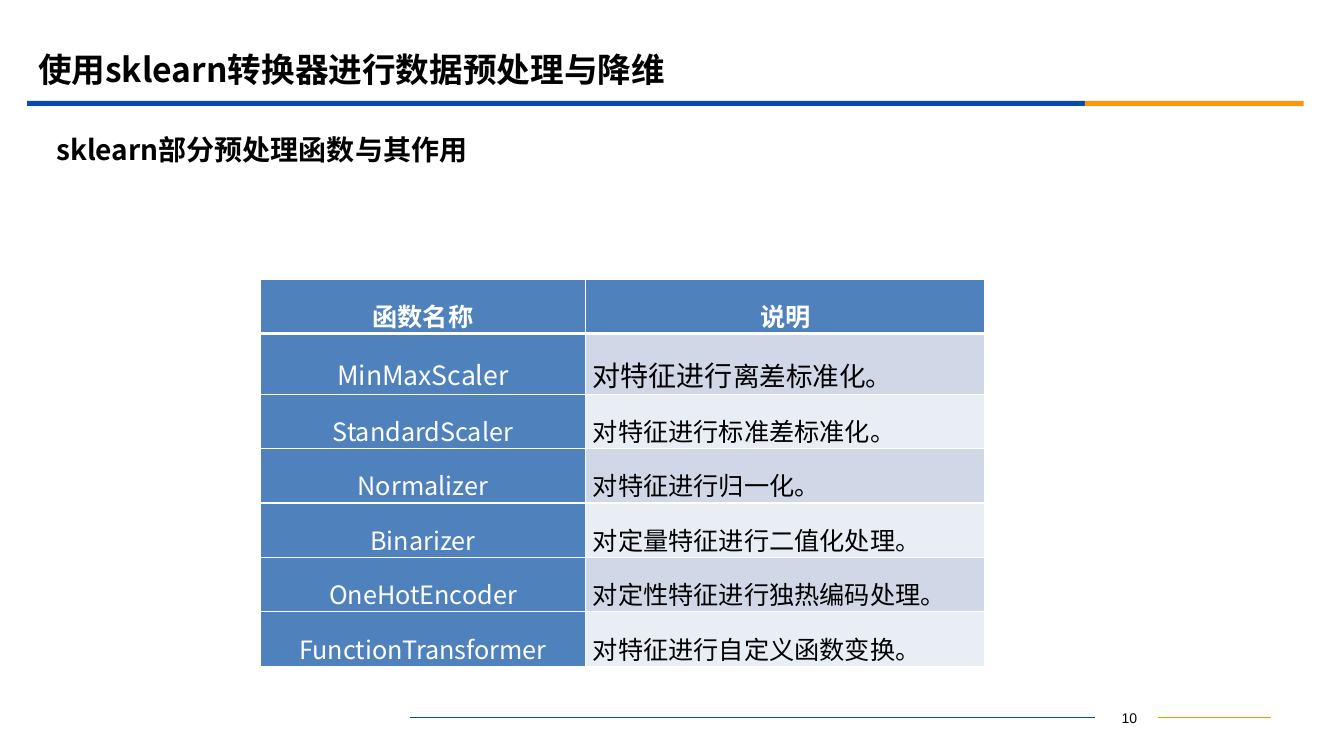
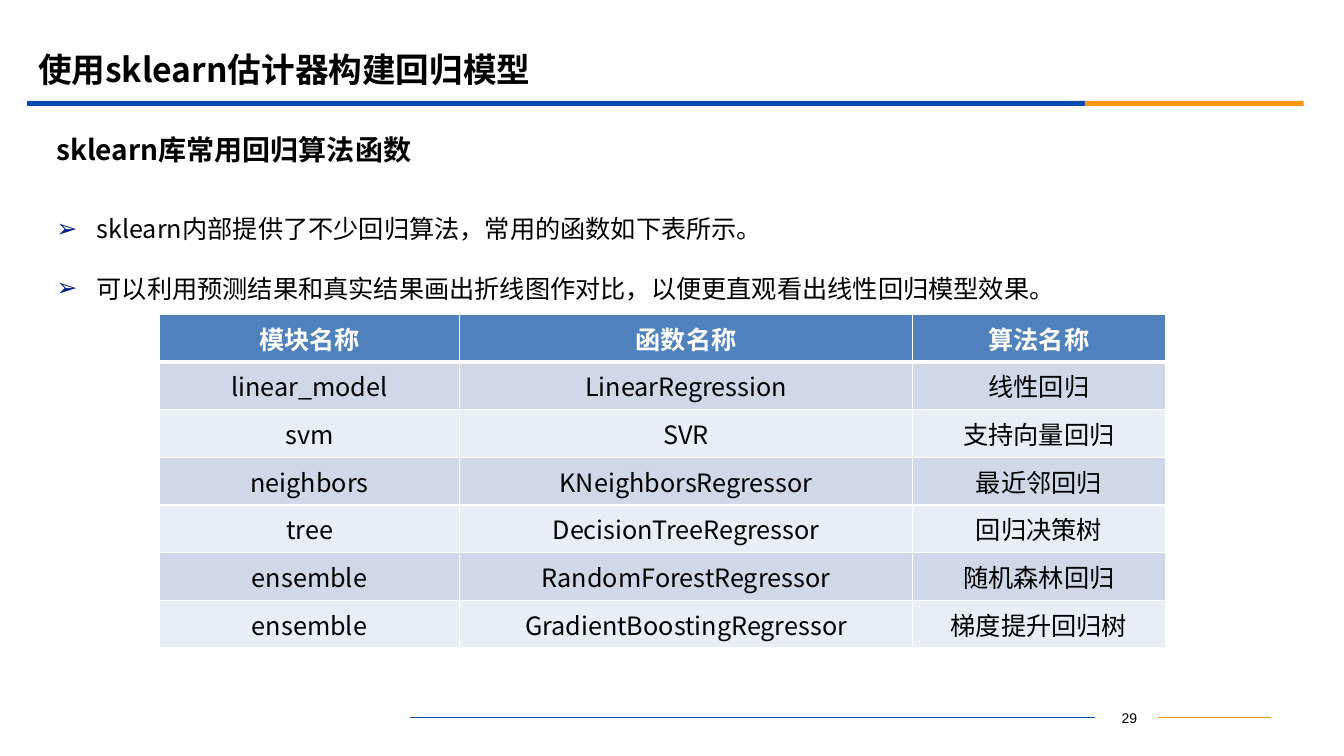
from dataclasses import dataclass
from typing import NamedTuple

from lxml.etree import SubElement
from pptx import Presentation
from pptx.dml.color import RGBColor
from pptx.enum.shapes import MSO_CONNECTOR, MSO_SHAPE
from pptx.enum.text import MSO_ANCHOR, PP_ALIGN
from pptx.oxml.ns import qn
from pptx.util import Emu, Pt

EMU_PER_PX = 9144  # 100 px to the inch
CJK_FONT = "Noto Sans CJK SC"
COLORS = {
    "black": "000000",
    "white": "FFFFFF",
    "blue": "064BB2",
    "band_orange": "FB9708",
    "line_orange": "F19500",
    "bullet": "032089",
    "header": "4F81BD",
    "odd_row": "D0D8E8",
    "even_row": "E9EDF4",
}


class Box(NamedTuple):
    left: int
    top: int
    width: int
    height: int


class Band(NamedTuple):
    box: Box
    color: str


class Rule(NamedTuple):
    start: int
    end: int
    color: str


class TextPart(NamedTuple):
    text: str
    size: int


class Column(NamedTuple):
    title: str
    width: int
    align: PP_ALIGN = PP_ALIGN.CENTER
    is_header: bool = False


@dataclass(frozen=True)
class TextStyle:
    size: int
    color: str = "black"
    bold: bool = False
    font: str = CJK_FONT


@dataclass(frozen=True)
class TableSpec:
    left: int
    top: int
    columns: list[Column]
    rows: list[tuple]  # a cell is a string or a list of TextPart
    row_heights: list[int]
    side_margin: int
    line_spacing: float = 1.0


@dataclass(frozen=True)
class SlideSpec:
    number: str
    title: str
    heading: str
    table: TableSpec
    bullets: tuple[str, ...] = ()


TITLE_BOX = Box(28, 39, 1200, 58)
HEADING_BOX = Box(46, 125, 1215, 47)
BODY_BOX = Box(46, 192, 1215, 478)
NUMBER_BOX = Box(1089, 699, 62, 25)
BANDS = [Band(Box(27, 100, 1049, 5), "blue"), Band(Box(1076, 100, 217, 5), "band_orange")]
FOOTER_Y = 712
FOOTER_RULES = [Rule(1149, 1261, "line_orange"), Rule(407, 1086, "blue")]

TITLE_STYLE = TextStyle(24, bold=True)
HEADING_STYLE = TextStyle(20, bold=True)
BODY_STYLE = TextStyle(18)
NUMBER_STYLE = TextStyle(10, font="Arial")

SLIDES = [
    SlideSpec(
        "10",
        "使用sklearn转换器进行数据预处理与降维",
        "sklearn部分预处理函数与其作用",
        TableSpec(
            258, 277,
            [Column("函数名称", 323, is_header=True),
             Column("说明", 396, PP_ALIGN.JUSTIFY)],
            [
                ([TextPart("MinMaxScaler", 19)],
                 [TextPart("对特征进行", 20), TextPart("离差标准化。", 19)]),
                ("StandardScaler", "对特征进行标准差标准化。"),
                ("Normalizer", "对特征进行归一化。"),
                ("Binarizer", "对定量特征进行二值化处理。"),
                ("OneHotEncoder", "对定性特征进行独热编码处理。"),
                ("FunctionTransformer", "对特征进行自定义函数变换。"),
            ],
            [54, 60] + [54] * 5,
            side_margin=7,
            line_spacing=1.5,
        ),
    ),
    SlideSpec(
        "29",
        "使用sklearn估计器构建回归模型",
        "sklearn库常用回归算法函数",
        TableSpec(
            158, 312,
            [Column("模块名称", 298), Column("函数名称", 449), Column("算法名称", 251)],
            [
                ("linear_model", "LinearRegression", "线性回归"),
                ("svm", "SVR", "支持向量回归"),
                ("neighbors", "KNeighborsRegressor", "最近邻回归"),
                ("tree", "DecisionTreeRegressor", "回归决策树"),
                ("ensemble", "RandomForestRegressor", "随机森林回归"),
                ("ensemble", "GradientBoostingRegressor", "梯度提升回归树"),
            ],
            [47, 47, 48] * 2 + [47],
            side_margin=4,
        ),
        (
            "sklearn内部提供了不少回归算法，常用的函数如下表所示。",
            "可以利用预测结果和真实结果画出折线图作对比，以便更直观看出线性回归模型效果。",
        ),
    ),
]


def px(value: int) -> Emu:
    return Emu(value * EMU_PER_PX)


def emu_box(box: Box) -> list[Emu]:
    return [px(value) for value in box]


def rgb(name: str) -> RGBColor:
    return RGBColor.from_string(COLORS[name])


def style_paragraph(paragraph, style: TextStyle) -> None:
    font = paragraph.font
    font.size, font.bold, font.name = Pt(style.size), style.bold, style.font
    font.color.rgb = rgb(style.color)
    properties = paragraph._p.get_or_add_pPr().find(qn("a:defRPr"))
    SubElement(properties, qn("a:ea"), typeface=style.font)


def add_text_frame(slide, box: Box, anchor=MSO_ANCHOR.MIDDLE):
    frame = slide.shapes.add_textbox(*emu_box(box)).text_frame
    frame.word_wrap = True
    frame.vertical_anchor = anchor
    return frame


def add_line_of_text(slide, box: Box, text: str, style: TextStyle,
                     align=PP_ALIGN.LEFT, anchor=MSO_ANCHOR.MIDDLE) -> None:
    paragraph = add_text_frame(slide, box, anchor).paragraphs[0]
    paragraph.text = text
    paragraph.alignment = align
    style_paragraph(paragraph, style)


def add_bullets(slide, texts: tuple[str, ...]) -> None:
    frame = add_text_frame(slide, BODY_BOX, MSO_ANCHOR.TOP)
    for index, text in enumerate(texts):
        paragraph = frame.add_paragraph() if index else frame.paragraphs[0]
        paragraph.text = text
        paragraph.line_spacing = 1.5
        if index:
            paragraph.space_before = Pt(10)
        properties = paragraph._p.get_or_add_pPr()
        properties.set("marL", str(px(40)))
        properties.set("indent", str(px(-40)))
        bullet_color = SubElement(properties, qn("a:buClr"))
        SubElement(bullet_color, qn("a:srgbClr"), val=COLORS["bullet"])
        SubElement(properties, qn("a:buFont"), typeface="Arial")
        SubElement(properties, qn("a:buChar"), char="➢")
        style_paragraph(paragraph, BODY_STYLE)


def set_borders(cell, top: int, bottom: int) -> None:
    properties = cell._tc.get_or_add_tcPr()
    for side, points in (("L", 1), ("R", 1), ("T", top), ("B", bottom)):
        line = SubElement(properties, qn(f"a:ln{side}"), w=str(Pt(points)))
        fill = SubElement(line, qn("a:solidFill"))
        SubElement(fill, qn("a:srgbClr"), val=COLORS["white"])


def fill_cell(cell, content, row: int, column: Column, spec: TableSpec) -> None:
    is_header = row == 0 or column.is_header
    set_borders(cell, top=3 if row == 1 else 1, bottom=3 if row == 0 else 1)
    cell.fill.solid()
    cell.fill.fore_color.rgb = rgb(
        "header" if is_header else "odd_row" if row % 2 else "even_row")
    cell.vertical_anchor = MSO_ANCHOR.MIDDLE
    cell.margin_left = cell.margin_right = px(spec.side_margin)
    cell.margin_top = cell.margin_bottom = 0

    paragraph = cell.text_frame.paragraphs[0]
    paragraph.alignment = PP_ALIGN.CENTER if row == 0 else column.align
    paragraph.line_spacing = spec.line_spacing
    style_paragraph(paragraph, TextStyle(18, "white" if is_header else "black", row == 0))
    if isinstance(content, str):
        paragraph.add_run().text = content
        return
    for part in content:
        run = paragraph.add_run()
        run.text = part.text
        run.font.size = Pt(part.size)


def add_data_table(slide, spec: TableSpec) -> None:
    rows = [tuple(column.title for column in spec.columns), *spec.rows]
    box = Box(spec.left, spec.top,
              sum(column.width for column in spec.columns), sum(spec.row_heights))
    table = slide.shapes.add_table(len(rows), len(spec.columns), *emu_box(box)).table
    table.first_row = table.horz_banding = False
    for index, column in enumerate(spec.columns):
        table.columns[index].width = px(column.width)
    for row, contents in enumerate(rows):
        table.rows[row].height = px(spec.row_heights[row])
        for index, content in enumerate(contents):
            fill_cell(table.cell(row, index), content, row, spec.columns[index], spec)


def add_frame(slide, number: str) -> None:
    # Footer
    add_line_of_text(slide, NUMBER_BOX, number, NUMBER_STYLE,
                     PP_ALIGN.CENTER, MSO_ANCHOR.TOP)
    for rule in FOOTER_RULES:
        connector = slide.shapes.add_connector(
            MSO_CONNECTOR.STRAIGHT, px(rule.start), px(FOOTER_Y), px(rule.end), px(FOOTER_Y))
        connector.line.color.rgb = rgb(rule.color)
        connector.line.width = Pt(0.75)
        SubElement(connector._element.spPr, qn("a:effectLst"))
    # Bands under the title
    for band in BANDS:
        shape = slide.shapes.add_shape(MSO_SHAPE.RECTANGLE, *emu_box(band.box))
        shape.shadow.inherit = False
        shape.fill.solid()
        shape.fill.fore_color.rgb = rgb(band.color)
        shape.line.fill.background()


def build_slide(presentation, spec: SlideSpec) -> None:
    slide = presentation.slides.add_slide(presentation.slide_layouts[6])
    add_frame(slide, spec.number)
    if spec.bullets:
        add_bullets(slide, spec.bullets)
    add_line_of_text(slide, TITLE_BOX, spec.title, TITLE_STYLE)
    add_line_of_text(slide, HEADING_BOX, spec.heading, HEADING_STYLE)
    add_data_table(slide, spec.table)


def main() -> None:
    presentation = Presentation()
    presentation.slide_width, presentation.slide_height = px(1333), px(750)
    for spec in SLIDES:
        build_slide(presentation, spec)
    presentation.save("out.pptx")


if __name__ == "__main__":
    main()
